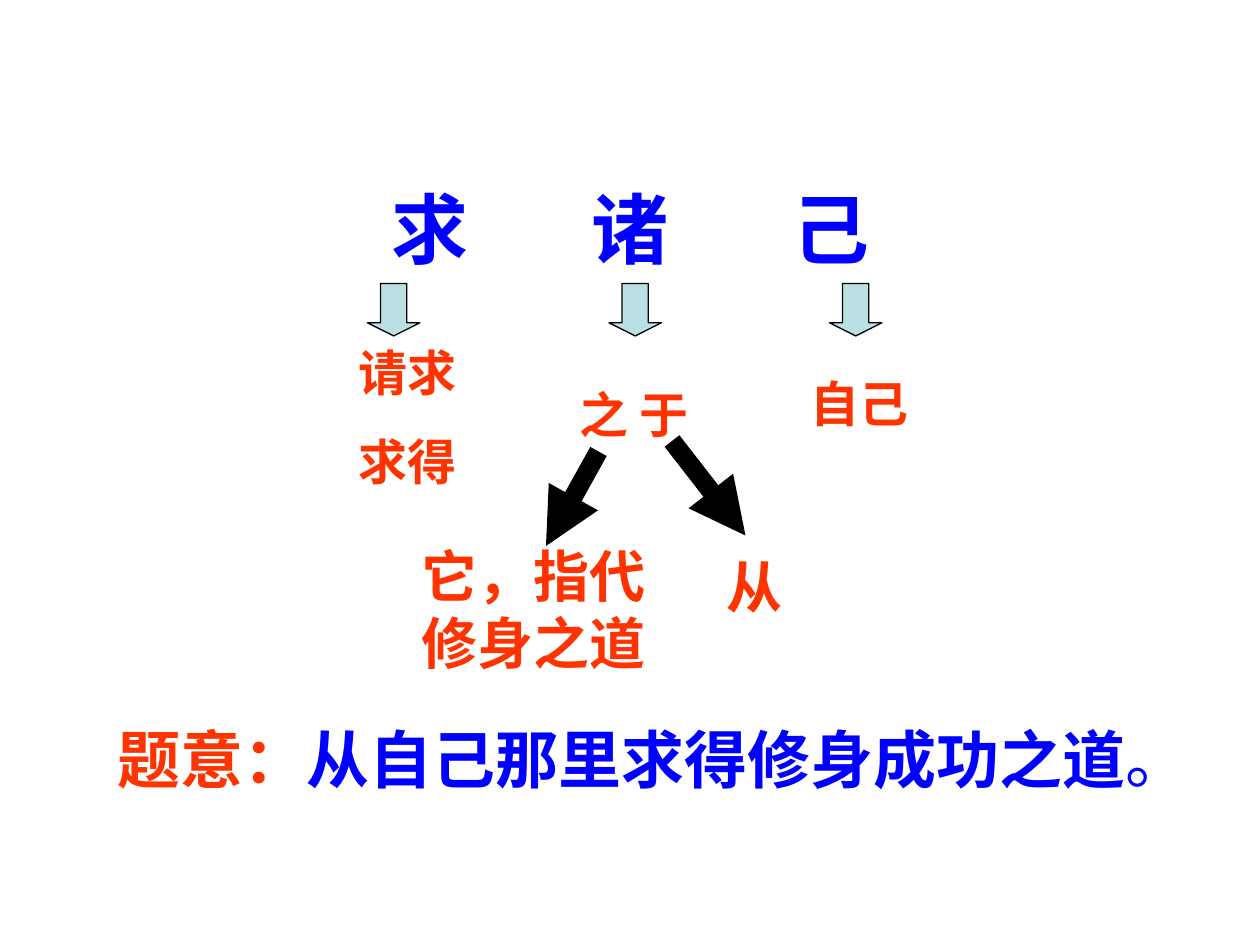
from lxml import etree
from pptx import Presentation
from pptx.dml import color as c
from pptx.enum import shapes, text
from pptx.oxml import ns
from pptx.util import Pt

BLUE, RED, BLACK, PALE = "0000FF", "FF3300", "000000", "BBE0E3"


def rgb(value):
    return c.RGBColor.from_string(value)


def add_text(slide, box, paragraphs, size, color=RED, before=0, grow=True,
             anchor=text.MSO_ANCHOR.TOP):
    """Each paragraph is a string or a list of (text, color, bold) runs."""
    shape = slide.shapes.add_textbox(*map(Pt, box))
    frame = shape.text_frame
    frame.word_wrap = True
    frame.vertical_anchor = anchor
    frame.auto_size = (text.MSO_AUTO_SIZE.SHAPE_TO_FIT_TEXT if grow
                       else text.MSO_AUTO_SIZE.NONE)
    for index, content in enumerate(paragraphs):
        paragraph = frame.paragraphs[0] if index == 0 else frame.add_paragraph()
        paragraph.space_before = Pt(before)
        runs = [(content, color, True)] if isinstance(content, str) else content
        for words, run_color, bold in runs:
            run = paragraph.add_run()
            run.text = words
            run.font.name = "Arial"
            run.font.size = Pt(size)
            run.font.bold = bold
            run.font.color.rgb = rgb(run_color)
    return shape


def add_headline(slide, box, characters, indent, pitch):
    """Characters at an equal pitch, set with tab stops."""
    shape = add_text(slide, box, ["\t".join(characters)], 44, BLUE, grow=False,
                     anchor=text.MSO_ANCHOR.MIDDLE)
    shape.text_frame.margin_left = Pt(indent)
    properties = shape.text_frame.paragraphs[0]._p.get_or_add_pPr()
    stops = etree.SubElement(properties, ns.qn("a:tabLst"))
    for number in range(1, len(characters)):
        etree.SubElement(stops, ns.qn("a:tab"),
                         pos=str(Pt(pitch * number)), algn="l")


def add_meaning(slide, box, arrow_left, meanings):
    """A down arrow with the meanings of one character below it."""
    arrow = slide.shapes.add_shape(shapes.MSO_SHAPE.DOWN_ARROW, Pt(arrow_left),
                                   Pt(162), Pt(30), Pt(30))
    arrow.shadow.inherit = False
    arrow.adjustments[0], arrow.adjustments[1] = 0.5, 0.25
    arrow.fill.solid()
    arrow.fill.fore_color.rgb = rgb(PALE)
    arrow.line.color.rgb = rgb(BLACK)
    arrow.line.width = Pt(0.75)
    add_text(slide, box, meanings, 28, before=17.5)


def add_branch(slide, box, start, end, words):
    """A thick arrow that leads to one part of the split word."""
    line = slide.shapes.add_connector(shapes.MSO_CONNECTOR.STRAIGHT,
                                      *map(Pt, start + end))
    line.line.color.rgb = rgb(BLACK)
    line.line.width = Pt(10.75)
    etree.SubElement(line.line._get_or_add_ln(), ns.qn("a:tailEnd"), type="triangle")
    etree.SubElement(line._element.spPr, ns.qn("a:effectLst"))
    add_text(slide, box, [words], 32, before=20)


def main():
    presentation = Presentation()
    presentation.slide_width, presentation.slide_height = Pt(720), Pt(540)
    slide = presentation.slides.add_slide(presentation.slide_layouts[6])

    # Title characters
    add_headline(slide, (54, 72, 612, 116), "求诸己", indent=169.5, pitch=114.6)

    # Meaning of each character
    add_meaning(slide, (198, 192, 72, 92), 210, ["请求", "求得"])
    add_meaning(slide, (324, 216, 84, 41), 348, ["之 于"])
    add_meaning(slide, (456, 210, 72, 41), 474, ["自己"])

    # The middle word splits in two
    add_branch(slide, (234, 306, 150, 84), (342, 258), (312, 312), "它，指代修身之道")
    add_branch(slide, (408, 312, 48, 46), (384, 252), (426, 306), "从")

    # Meaning of the whole title
    add_text(slide, (60, 408, 636, 50.4),
             [[("题意：", RED, True),
               ("从自己那里求得修身成功之道", BLUE, True),
               ("。", BLUE, False)]], 36, before=22.5)

    presentation.save("out.pptx")


if __name__ == "__main__":
    main()
